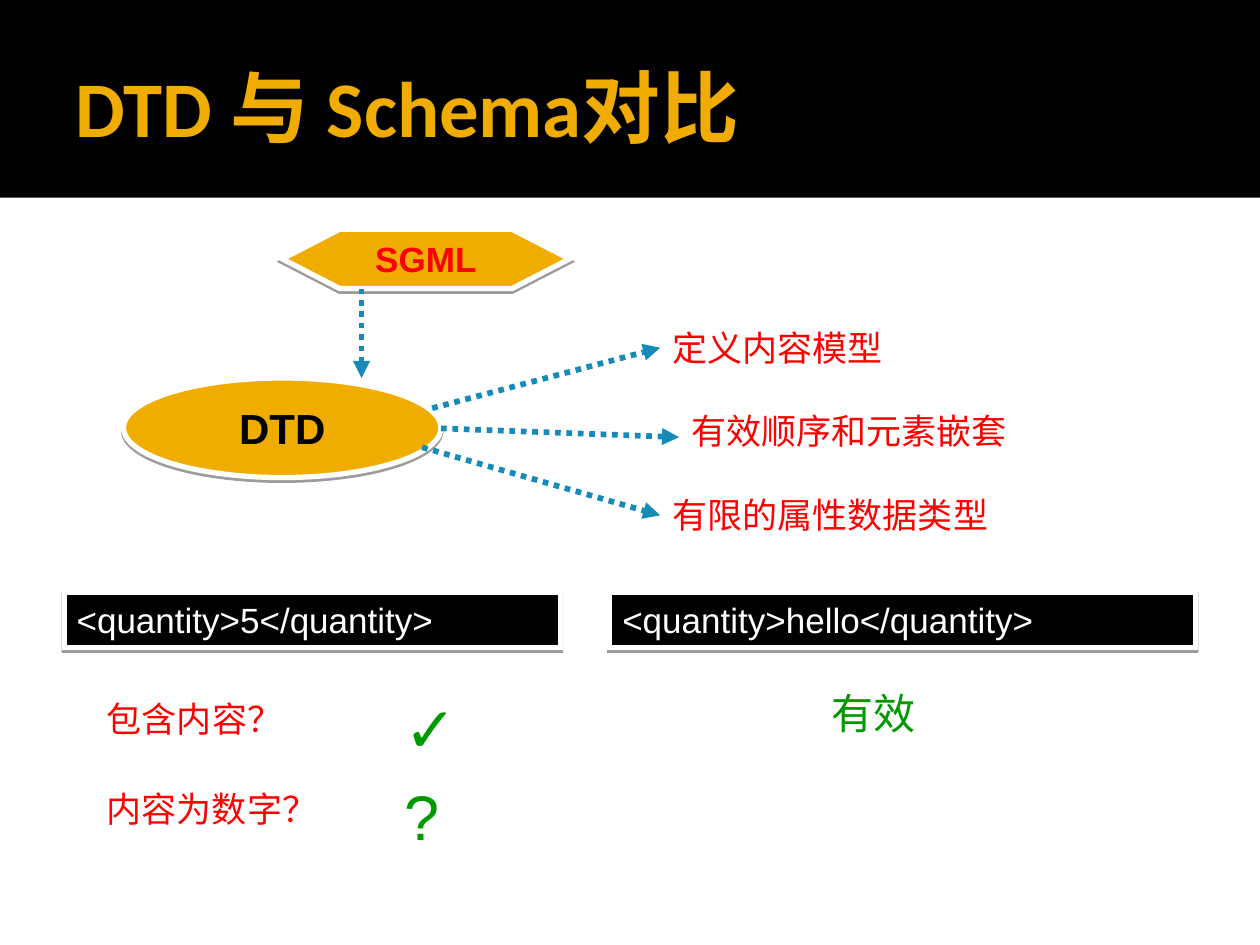
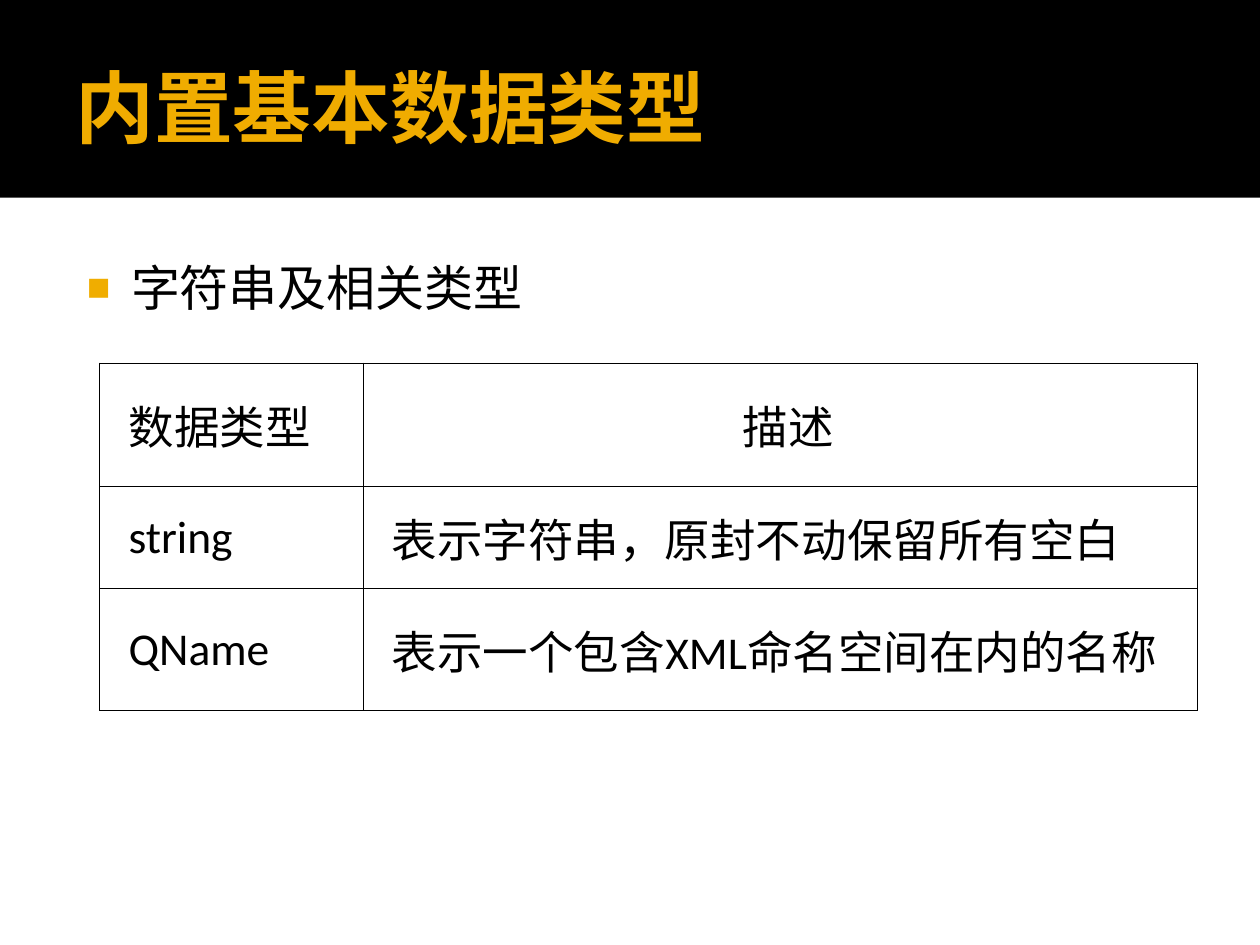
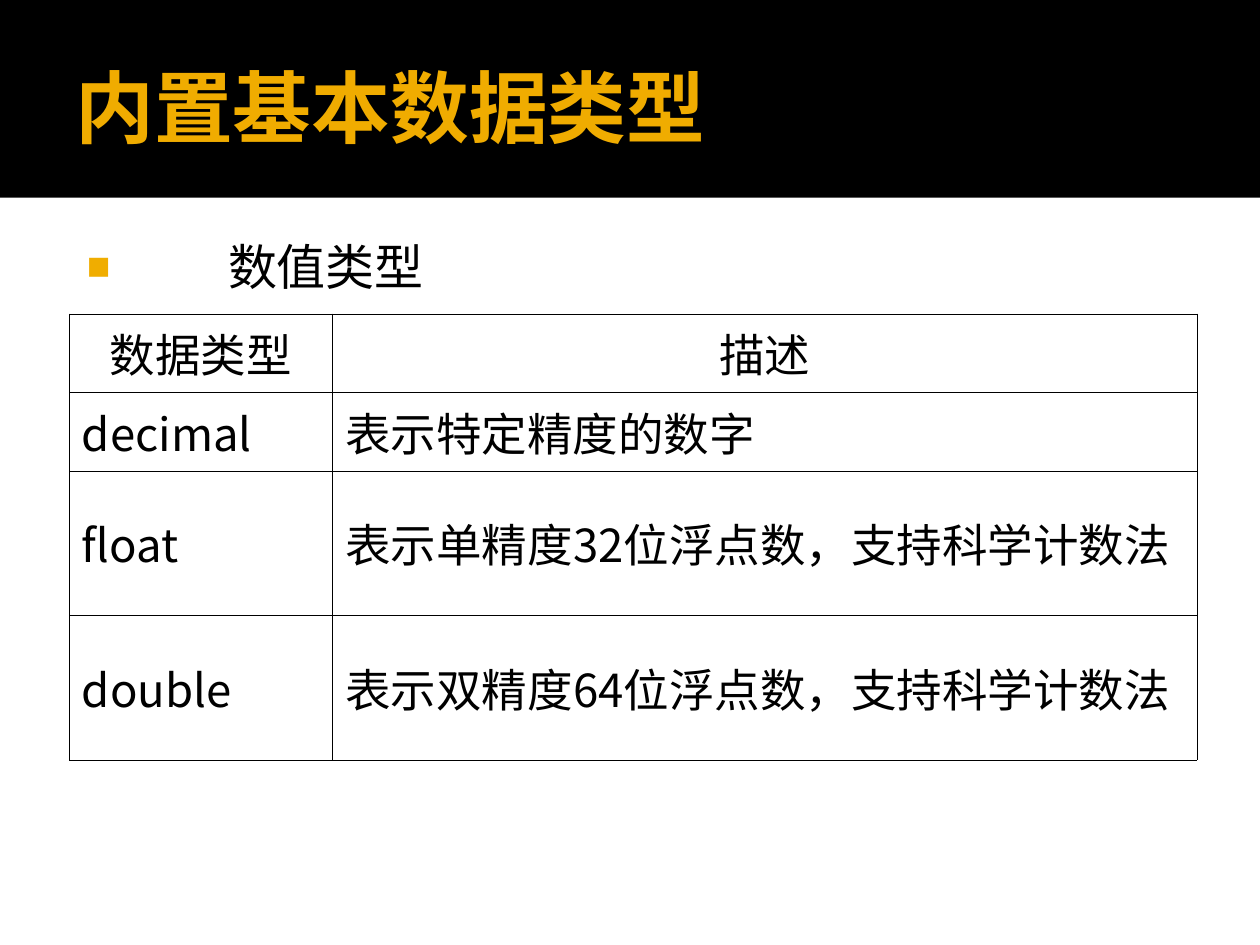
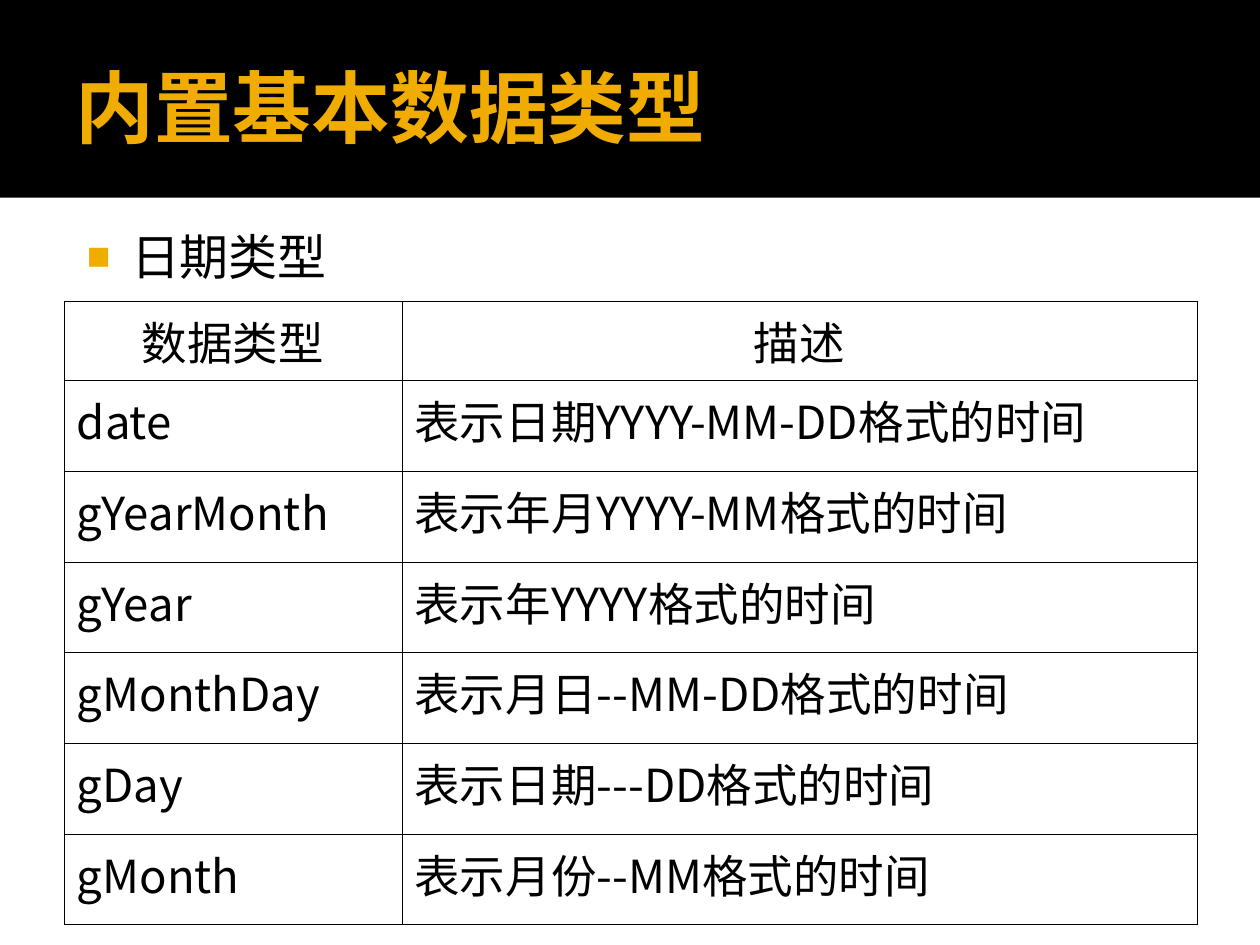
from dataclasses import dataclass
from lxml import etree
from pptx import Presentation
from pptx.dml import color
from pptx.enum import dml, shapes, text
from pptx.oxml import ns
from pptx.util import Emu, Pt


@dataclass(frozen=True)
class Theme:
    black: str = "000000"
    white: str = "FFFFFF"
    gold: str = "F0AD00"
    head: str = "F0AC00"
    red: str = "FF0000"
    green: str = "009900"
    blue: str = "168BBA"
    sans: str = "Arial"
    body: str = "Calibri"
    asian: str = "Noto Sans CJK SC"
    title: int = 45
    mark: int = 36
    point: int = 28
    cell: int = 26
    large: int = 24
    small: int = 20


T = Theme()
SCALE = 9144
SIZE = (1000, 750)
BAND = (0, 0, 1000, 157)
TITLE = (50, 16, 900, 137)
HANG = (48, -35)

COMPARE = "DTD 与 Schema对比"
KINDS = "内置基本数据类型"
HEADS = ("数据类型", "描述")

NODES = [
    ("DTD", shapes.MSO_SHAPE.OVAL, (98, 300, 252, 79), T.large, T.black),
    ("SGML", shapes.MSO_SHAPE.FLOWCHART_PREPARATION, (224, 182, 228, 47), T.small, T.red),
]
DOWN = ((287, 229), (287, 300))
TRAITS = [
    ("定义内容模型", (524, 254, 315, 44), (343, 324), None),
    ("有效顺序和元素嵌套", (539, 320, 323, 44), (350, 340), (539, 347)),
    ("有限的属性数据类型", (524, 387, 354, 44), (335, 355), None),
]
CODES = [
    ("<quantity>5</quantity>", (51, 470, 394, 44)),
    ("<quantity>hello</quantity>", (484, 470, 465, 44)),
]
NOTES = [
    ("包含内容？", (75, 549, 252, 44), T.small, T.red),
    ("内容为数字？", (75, 620, 284, 44), T.small, T.red),
    ("✓", (311, 542, 63, 70), T.mark, T.green),
    ("?", (311, 612, 39, 70), T.mark, T.green),
    ("有效", (650, 541, 102, 50), T.large, T.green),
]

TABLES = [
    dict(
        point="字符串及相关类型", top=194, inset=HANG,
        at=(79, 288), cols=(209, 662), rows=(98, 81, 97),
        font=T.body, hang=HANG, middle=True, center=(1,),
        data=[
            ("string", "表示字符串，原封不动保留所有空白"),
            ("QName", "表示一个包含XML命名空间在内的名称"),
        ],
    ),
    dict(
        point="数值类型", top=178, inset=(125, -112),
        at=(55, 249), cols=(209, 686), rows=(62, 63, 114, 115),
        font=T.asian, hang=None, middle=True, center=(0, 1),
        data=[
            ("decimal", "表示特定精度的数字"),
            ("float", "表示单精度32位浮点数，支持科学计数法"),
            ("double", "表示双精度64位浮点数，支持科学计数法"),
        ],
    ),
    dict(
        point="日期类型", top=170, inset=HANG,
        at=(51, 239), cols=(268, 631), rows=(63,) + (72,) * 6,
        font=T.asian, hang=None, middle=False, center=(0, 1),
        data=[
            ("date", "表示日期YYYY-MM-DD格式的时间"),
            ("gYearMonth", "表示年月YYYY-MM格式的时间"),
            ("gYear", "表示年YYYY格式的时间"),
            ("gMonthDay", "表示月日--MM-DD格式的时间"),
            ("gDay", "表示日期---DD格式的时间"),
            ("gMonth", "表示月份--MM格式的时间"),
        ],
    ),
]


def px(n):
    return Emu(n * SCALE)


def emu(box):
    return [px(n) for n in box]


def rgb(tone):
    return color.RGBColor.from_string(tone)


def node(root, tag, **attrs):
    item = etree.SubElement(root, ns.qn("a:" + tag))
    for key, val in attrs.items():
        item.set(key, str(val))
    return item


def write(frame, words, size, tone, font=T.sans, bold=False, center=False, hang=None, bullet=False):
    para = frame.paragraphs[0]
    if center:
        para.alignment = text.PP_ALIGN.CENTER
    if hang:
        props = para._p.get_or_add_pPr()
        props.set("marL", str(px(hang[0])))
        props.set("indent", str(px(hang[1])))
        if bullet:
            node(node(props, "buClr"), "srgbClr", val=T.gold)
            node(props, "buSzPct", val=80000)
            node(props, "buFont", typeface=T.sans)
            node(props, "buChar", char="■")
    run = para.add_run()
    run.text = words
    run.font.size = Pt(size)
    run.font.name = font
    run.font.bold = bold
    run.font.color.rgb = rgb(tone)
    latin = run._r.rPr.find(ns.qn("a:latin"))
    asian = etree.Element(ns.qn("a:ea"))
    asian.set("typeface", T.asian)
    latin.addnext(asian)


def label(slide, words, box, size, tone, pad=(10, 5, 10, 5), grow=False, middle=False, **style):
    area = slide.shapes.add_textbox(*emu(box))
    frame = area.text_frame
    frame.word_wrap = True
    if grow:
        frame.auto_size = text.MSO_AUTO_SIZE.SHAPE_TO_FIT_TEXT
    if middle:
        frame.vertical_anchor = text.MSO_ANCHOR.MIDDLE
    frame.margin_left, frame.margin_top, frame.margin_right, frame.margin_bottom = emu(pad)
    write(frame, words, size, tone, **style)
    return area


def solid(slide, kind, box, fill):
    form = slide.shapes.add_shape(kind, *emu(box))
    form.shadow.inherit = False
    form.fill.solid()
    form.fill.fore_color.rgb = rgb(fill)
    form.line.fill.background()
    return form


def raised(slide, kind, box, fill):
    form = solid(slide, kind, box, fill)
    form.line.color.rgb = rgb(T.white)
    form.line.width = Pt(3)
    props = form.element.spPr
    node(props.find(ns.qn("a:ln")), "miter", lim=800000)
    glow = props.find(ns.qn("a:effectLst"))
    shade = node(glow, "outerShdw", blurRad=0, dist=Pt(1.6), dir=5400000, algn="t", rotWithShape=0)
    node(node(shade, "srgbClr", val=T.black), "alpha", val=38000)
    return form


def arrow(slide, start, end):
    link = slide.shapes.add_connector(shapes.MSO_CONNECTOR.STRAIGHT, *emu(start + end))
    link.line.color.rgb = rgb(T.blue)
    link.line.width = Pt(3.25)
    link.line.dash_style = dml.MSO_LINE.ROUND_DOT
    props = link.element.spPr
    node(props.find(ns.qn("a:ln")), "tailEnd", type="triangle")
    node(props, "effectLst")
    return link


def page(deck, title):
    slide = deck.slides.add_slide(deck.slide_layouts[6])
    solid(slide, shapes.MSO_SHAPE.RECTANGLE, BAND, T.black)
    label(slide, title, TITLE, T.title, T.head, pad=(10, 5, 5, 5), middle=True, font=T.body, bold=True)
    return slide


def contrast(deck):
    slide = page(deck, COMPARE)
    for words, kind, box, size, tone in NODES:
        frame = raised(slide, kind, box, T.gold).text_frame
        frame.word_wrap = False
        frame.vertical_anchor = text.MSO_ANCHOR.MIDDLE
        write(frame, words, size, tone, bold=True, center=True)
    arrow(slide, *DOWN)
    for words, box, start, end in TRAITS:
        area = label(slide, words, box, T.small, T.red, grow=True)
        side = (box[0], box[1] + box[3] // 2)
        link = arrow(slide, start, end or side)
        if not end:
            link.end_connect(area, 1)
    for words, box in CODES:
        frame = raised(slide, shapes.MSO_SHAPE.RECTANGLE, box, T.black).text_frame
        frame.word_wrap = True
        frame.vertical_anchor = text.MSO_ANCHOR.TOP
        write(frame, words, T.small, T.white)
        frame.paragraphs[0].alignment = text.PP_ALIGN.LEFT
    for words, box, size, tone in NOTES:
        label(slide, words, box, size, tone, grow=True)


def border(cell):
    props = cell._tc.get_or_add_tcPr()
    for side in ("lnL", "lnR", "lnT", "lnB"):
        edge = node(props, side, w=Pt(0.23))
        node(node(edge, "solidFill"), "srgbClr", val=T.black)
    cell.fill.background()


def listing(deck, part):
    slide = page(deck, KINDS)
    label(slide, part["point"], (50, part["top"], 442, 506), T.point, T.black,
          pad=(6, 10, 10, 5), font=T.body, hang=part["inset"], bullet=True)
    cols, rows = part["cols"], part["rows"]
    box = part["at"] + (sum(cols), sum(rows))
    grid = slide.shapes.add_table(len(rows), len(cols), *emu(box)).table
    grid.first_row = grid.horz_banding = False
    for col, wide in zip(grid.columns, cols):
        col.width = px(wide)
    for row, tall in zip(grid.rows, rows):
        row.height = px(tall)
    for r, line in enumerate([HEADS] + part["data"]):
        for c, words in enumerate(line):
            cell = grid.cell(r, c)
            if part["middle"]:
                cell.vertical_anchor = text.MSO_ANCHOR.MIDDLE
            border(cell)
            write(cell.text_frame, words, T.cell, T.black, font=part["font"],
                  center=r == 0 and c in part["center"], hang=part["hang"])


def main():
    deck = Presentation()
    deck.slide_width, deck.slide_height = emu(SIZE)
    contrast(deck)
    for part in TABLES:
        listing(deck, part)
    deck.save("out.pptx")


if __name__ == "__main__":
    main()
